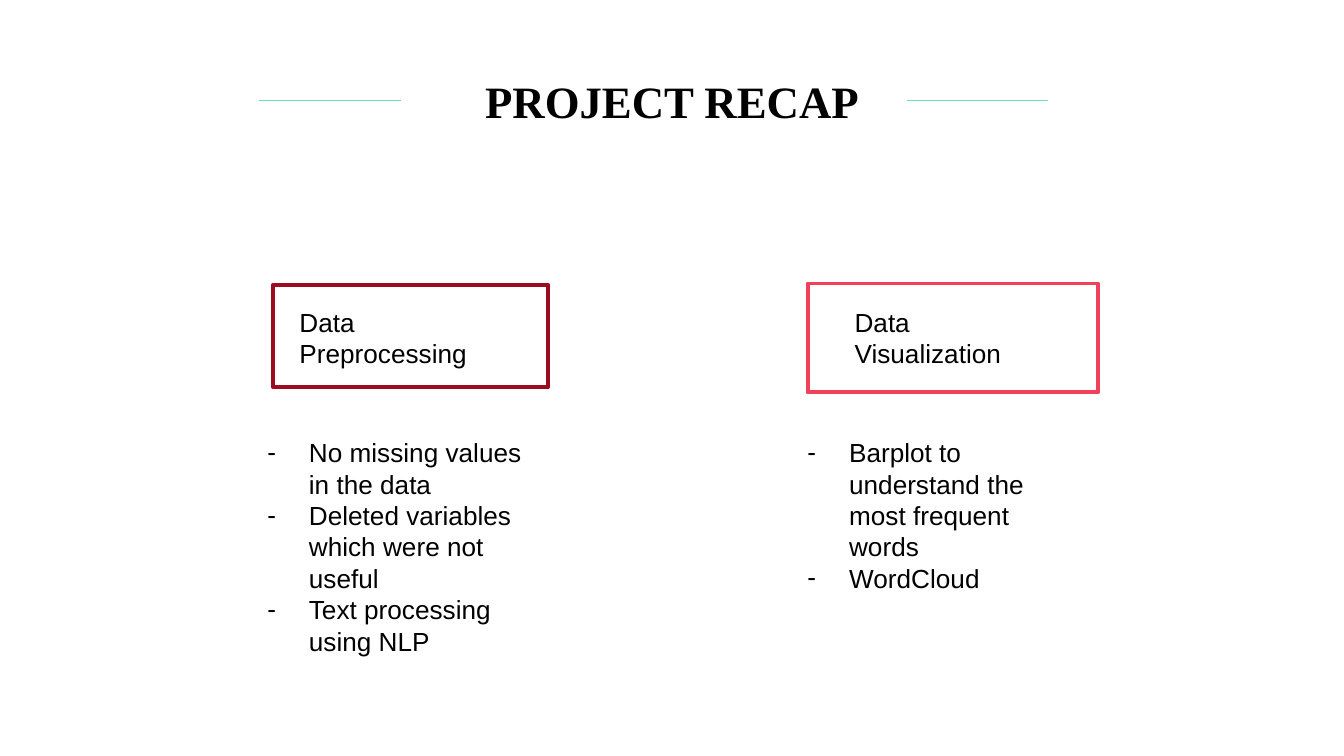
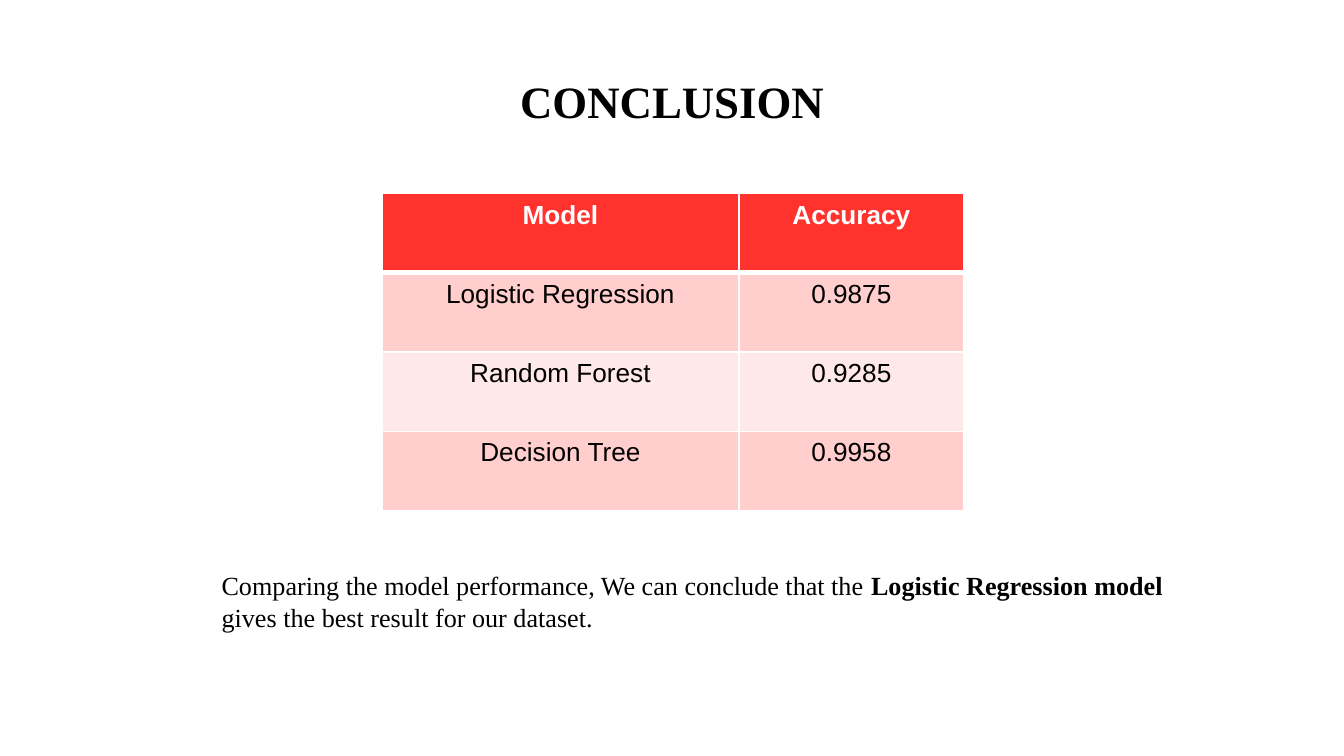
"""Build the project recap and conclusion slides."""
import dataclasses
import typing

import lxml.etree
import pptx
import pptx.dml.color
import pptx.enum.shapes
import pptx.enum.text
import pptx.oxml.ns
import pptx.util

Inches = pptx.util.Inches
Align = pptx.enum.text.PP_ALIGN


@dataclasses.dataclass(frozen=True)
class Theme:
    ink: str = "000000"
    paper: str = "FFFFFF"
    rule: str = "72DBCD"
    crimson: str = "9B0C21"
    rose: str = "F0405A"
    header: str = "FF322E"
    bands: tuple[str, str] = ("FFCECD", "FFE8E8")
    sans: str = "Arial"
    serif: str = "Times New Roman"
    title_size: int = 24
    body_size: int = 14


THEME = Theme()


class Area(typing.NamedTuple):
    left: float
    top: float
    width: float
    height: float

    def lengths(self) -> list[int]:
        return [Inches(value) for value in self]


class Span(typing.NamedTuple):
    text: str
    bold: bool = False


class Topic(typing.NamedTuple):
    heading: str
    color: str
    frame: Area
    label: Area
    notes: Area
    points: list[str]


TOPICS = [
    Topic("Data Preprocessing", THEME.crimson, Area(2.03, 2.12, 2.05, 0.76),
          Area(2.13, 2.23, 1.51, 0.57), Area(1.89, 3.2, 2.25, 1.75),
          ["No missing values in the data", "Deleted variables which were not useful",
           "Text processing using NLP"]),
    Topic("Data Visualization", THEME.rose, Area(6.01, 2.11, 2.16, 0.81),
          Area(6.26, 2.23, 1.59, 0.61), Area(5.91, 3.2, 1.94, 1.28),
          ["Barplot to understand the most frequent words", "WordCloud"]),
]
RESULTS = [("Model", "Accuracy"), ("Logistic Regression", "0.9875"),
           ("Random Forest", "0.9285"), ("Decision Tree", "0.9958")]
CONCLUSION = [Span("Comparing the model performance, We can conclude that the "),
              Span("Logistic Regression model", bold=True),
              Span(" gives the best result for our dataset.")]


def rgb(color: str) -> pptx.dml.color.RGBColor:
    return pptx.dml.color.RGBColor.from_string(color)


def add_child(parent, tag: str, **attributes: str):
    return lxml.etree.SubElement(parent, pptx.oxml.ns.qn(tag), attributes)


def write(frame, paragraphs: list[list[Span]], *, font: str = THEME.sans,
          size: int = THEME.body_size, color: str = THEME.ink,
          align: Align = Align.LEFT, bullet: str = "") -> None:
    for index, spans in enumerate(paragraphs):
        para = frame.add_paragraph() if index else frame.paragraphs[0]
        para.alignment = align
        if bullet:
            properties = para._p.get_or_add_pPr()
            properties.set("marL", str(Inches(0.31)))
            properties.set("indent", str(-Inches(0.31)))
            bullet_color = add_child(properties, "a:buClr")
            add_child(bullet_color, "a:srgbClr", val=color)
            add_child(properties, "a:buFont", typeface=font)
            add_child(properties, "a:buChar", char=bullet)
        for span in spans:
            run = para.add_run()
            run.text = span.text
            run.font.name = font
            run.font.size = pptx.util.Pt(size)
            run.font.bold = span.bold
            run.font.color.rgb = rgb(color)


def add_text(page, area: Area, paragraphs: list[list[Span]], *,
             inset: float = 0.05, grow: bool = True, **style) -> None:
    box = page.shapes.add_textbox(*area.lengths())
    frame = box.text_frame
    frame.word_wrap = True
    frame.margin_top = frame.margin_bottom = Inches(inset)
    sizing = pptx.enum.text.MSO_AUTO_SIZE
    frame.auto_size = sizing.SHAPE_TO_FIT_TEXT if grow else sizing.NONE
    write(frame, paragraphs, **style)


def add_page(deck, title: str):
    page = deck.slides.add_slide(deck.slide_layouts[6])
    page.background.fill.solid()
    page.background.fill.fore_color.rgb = rgb(THEME.paper)
    add_text(page, Area(0.5, 0.45, 9, 0.63), [[Span(title, bold=True)]], inset=0.1,
             grow=False, font=THEME.serif, size=THEME.title_size, align=Align.CENTER)
    return page


def add_title_rule(page, left: float) -> None:
    rule = page.shapes.add_connector(
        pptx.enum.shapes.MSO_CONNECTOR.STRAIGHT,
        Inches(left), Inches(0.75), Inches(left + 1.05), Inches(0.75))
    rule.line.color.rgb = rgb(THEME.rule)
    rule.line.width = pptx.util.Pt(0.75)
    add_child(rule._element.spPr, "a:effectLst")


def add_topic(page, topic: Topic) -> None:
    frame = page.shapes.add_shape(
        pptx.enum.shapes.MSO_SHAPE.RECTANGLE, *topic.frame.lengths())
    frame.shadow.inherit = False
    frame.fill.solid()
    frame.fill.fore_color.rgb = rgb(THEME.paper)
    frame.line.color.rgb = rgb(topic.color)
    frame.line.width = pptx.util.Pt(2)
    add_text(page, topic.label, [[Span(topic.heading)]])
    add_text(page, topic.notes, [[Span(point)] for point in topic.points], bullet="-")


def set_borders(cell, bottom: float) -> None:
    properties = cell._tc.get_or_add_tcPr()
    for side, width in {"L": 1, "R": 1, "T": 1, "B": bottom}.items():
        border = add_child(properties, f"a:ln{side}", w=str(pptx.util.Pt(width)))
        add_child(add_child(border, "a:solidFill"), "a:srgbClr", val=THEME.paper)


def add_results(page, area: Area, widths: list[float]) -> None:
    table = page.shapes.add_table(len(RESULTS), len(widths), *area.lengths()).table
    for column, width in zip(table.columns, widths):
        column.width = Inches(width)
    for row_index, values in enumerate(RESULTS):
        is_header = row_index == 0
        fill = THEME.header if is_header else THEME.bands[(row_index - 1) % 2]
        for column_index, value in enumerate(values):
            cell = table.cell(row_index, column_index)
            set_borders(cell, bottom=3 if is_header else 1)
            cell.fill.solid()
            cell.fill.fore_color.rgb = rgb(fill)
            write(cell.text_frame, [[Span(value, bold=is_header)]], align=Align.CENTER,
                  color=THEME.paper if is_header else THEME.ink)


def main() -> None:
    deck = pptx.Presentation()
    deck.slide_width = Inches(10)
    deck.slide_height = deck.slide_width * 9 // 16

    recap = add_page(deck, "PROJECT RECAP")
    for left in (1.93, 6.75):
        add_title_rule(recap, left)
    for topic in TOPICS:
        add_topic(recap, topic)

    conclusion = add_page(deck, "CONCLUSION")
    add_results(conclusion, Area(2.84, 1.44, 4.33, 2.36), [2.66, 1.67])
    add_text(conclusion, Area(1.55, 4.19, 7.22, 0.57), [CONCLUSION], font=THEME.serif)

    deck.save("out.pptx")


if __name__ == "__main__":
    main()
